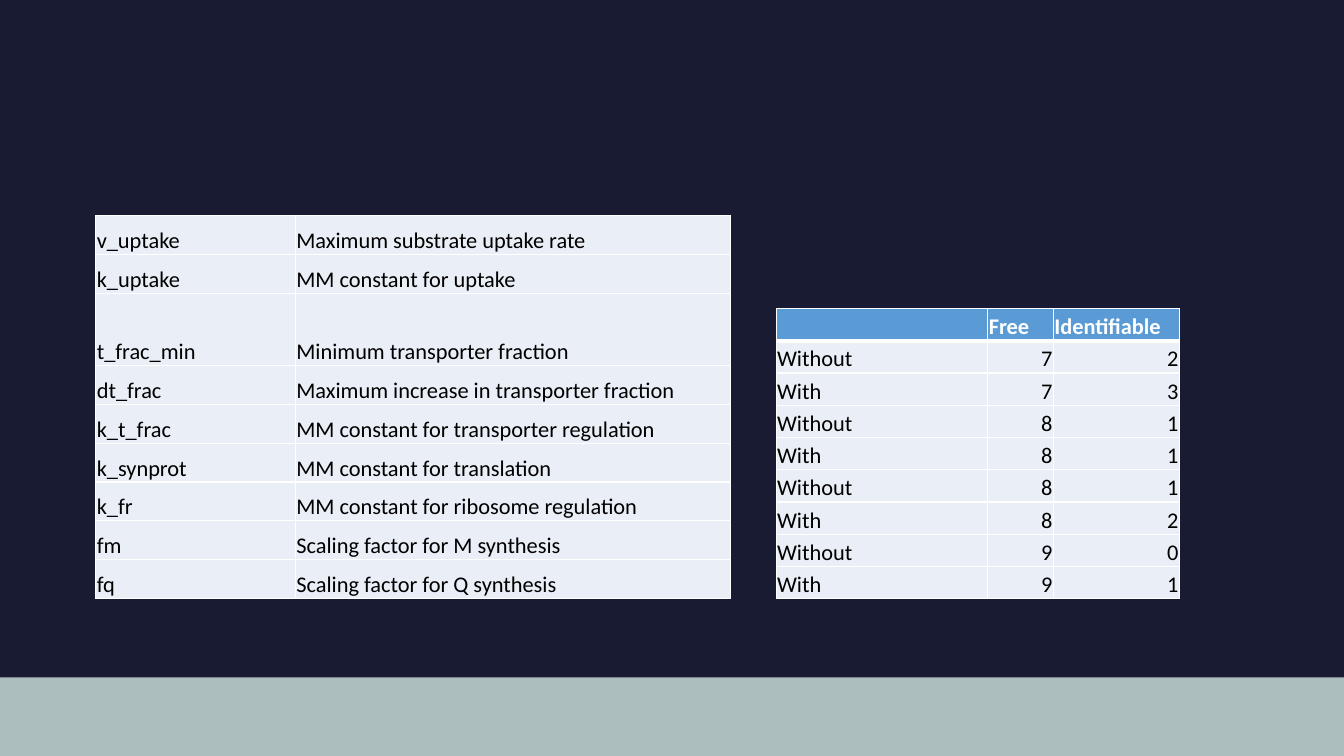
from dataclasses import dataclass

from lxml.etree import SubElement
from pptx import Presentation
from pptx.dml.color import RGBColor
from pptx.enum.shapes import MSO_SHAPE
from pptx.enum.text import MSO_ANCHOR, PP_ALIGN
from pptx.oxml.ns import qn
from pptx.slide import Slide
from pptx.table import _Cell
from pptx.util import Inches, Pt

WIDTH, HEIGHT = Inches(13.33), Inches(7.5)


@dataclass(frozen=True)
class Theme:
    background: str = "191B33"
    band: str = "ACBEBE"
    header: str = "5B9BD5"
    body: str = "EAEFF7"
    light: str = "FFFFFF"
    dark: str = "000000"
    font: str = "Calibri"
    size: float = 16
    rule: float = 1
    header_rule: float = 3


@dataclass(frozen=True)
class TableSpec:
    left: float
    top: float
    columns: list[float]
    heights: list[float]
    rows: list[tuple[str, ...]]
    has_header: bool = False


THEME = Theme()

PARAMETERS = [
    ("v_uptake", "Maximum substrate uptake rate"),
    ("k_uptake", "MM constant for uptake"),
    ("t_frac_min", "Minimum transporter fraction"),
    ("dt_frac", "Maximum increase in transporter fraction"),
    ("k_t_frac", "MM constant for transporter regulation"),
    ("k_synprot", "MM constant for translation"),
    ("k_fr", "MM constant for ribosome regulation"),
    ("fm", "Scaling factor for M synthesis"),
    ("fq", "Scaling factor for Q synthesis"),
]

IDENTIFIABILITY = [
    ("", "Free", "Identifiable"),
    ("Without", "7", "2"),
    ("With", "7", "3"),
    ("Without", "8", "1"),
    ("With", "8", "1"),
    ("Without", "8", "1"),
    ("With", "8", "2"),
    ("Without", "9", "0"),
    ("With", "9", "1"),
]

TABLES = [
    TableSpec(57.75, 40.8, [15.75, 4.88, 9.38], [4.27] * 9, IDENTIFIABILITY, True),
    TableSpec(7.13, 28.53, [14.85, 32.4], [5.13] * 2 + [9.6] + [5.13] * 6, PARAMETERS),
]


def x(share: float) -> int:
    """Turn a percentage of the slide's width into a length."""
    return round(WIDTH * share / 100)


def y(share: float) -> int:
    """Turn a percentage of the slide's height into a length."""
    return round(HEIGHT * share / 100)


def rgb(value: str) -> RGBColor:
    """Turn a hex value into a colour."""
    return RGBColor.from_string(value)


def draw_borders(cell: _Cell, top: float, bottom: float) -> None:
    """Rule the four sides of a cell."""
    tcPr = cell._tc.get_or_add_tcPr()
    widths = {"lnL": THEME.rule, "lnR": THEME.rule, "lnT": top, "lnB": bottom}
    for side, width in widths.items():
        ln = SubElement(tcPr, qn(f"a:{side}"), w=str(Pt(width)))
        fill = SubElement(ln, qn("a:solidFill"))
        SubElement(fill, qn("a:srgbClr"), val=THEME.light)


def fill_cell(cell: _Cell, text: str, is_header: bool, under_header: bool) -> None:
    """Format one cell and write its text."""
    draw_borders(
        cell,
        THEME.header_rule if under_header else THEME.rule,
        THEME.header_rule if is_header else THEME.rule,
    )
    cell.fill.solid()
    cell.fill.fore_color.rgb = rgb(THEME.header if is_header else THEME.body)
    cell.vertical_anchor = MSO_ANCHOR.BOTTOM
    cell.margin_left = cell.margin_right = cell.margin_top = Inches(0.01)
    cell.margin_bottom = 0
    if not text:
        return
    p = cell.text_frame.paragraphs[0]
    p.alignment = PP_ALIGN.RIGHT if text.isdigit() else PP_ALIGN.LEFT
    r = p.add_run()
    r.text = text
    r.font.name = THEME.font
    r.font.size = Pt(THEME.size)
    r.font.bold = is_header
    r.font.color.rgb = rgb(THEME.light if is_header else THEME.dark)


def draw_table(s: Slide, spec: TableSpec) -> None:
    """Draw a table from its description."""
    table = s.shapes.add_table(
        len(spec.rows), len(spec.columns), x(spec.left), y(spec.top),
        x(sum(spec.columns)), y(sum(spec.heights)),
    ).table
    table.first_row = spec.has_header
    table.horz_banding = False
    for column, width in zip(table.columns, spec.columns):
        column.width = x(width)
    for i, (height, values) in enumerate(zip(spec.heights, spec.rows)):
        table.rows[i].height = y(height)
        for j, text in enumerate(values):
            fill_cell(table.cell(i, j), text, spec.has_header and i == 0,
                      spec.has_header and i == 1)


def draw_band(s: Slide) -> None:
    """Draw the band along the foot of the slide."""
    sp = s.shapes.add_shape(MSO_SHAPE.RECTANGLE, 0, y(89.6), WIDTH, y(10.4))
    sp.shadow.inherit = False
    sp.fill.solid()
    sp.fill.fore_color.rgb = rgb(THEME.band)
    sp.line.fill.background()


def main() -> None:
    """Build and save the slide."""
    prs = Presentation()
    prs.slide_width, prs.slide_height = WIDTH, HEIGHT
    s = prs.slides.add_slide(prs.slide_layouts[6])
    s.background.fill.solid()
    s.background.fill.fore_color.rgb = rgb(THEME.background)
    draw_band(s)
    for spec in TABLES:
        draw_table(s, spec)
    prs.save("out.pptx")


if __name__ == "__main__":
    main()
